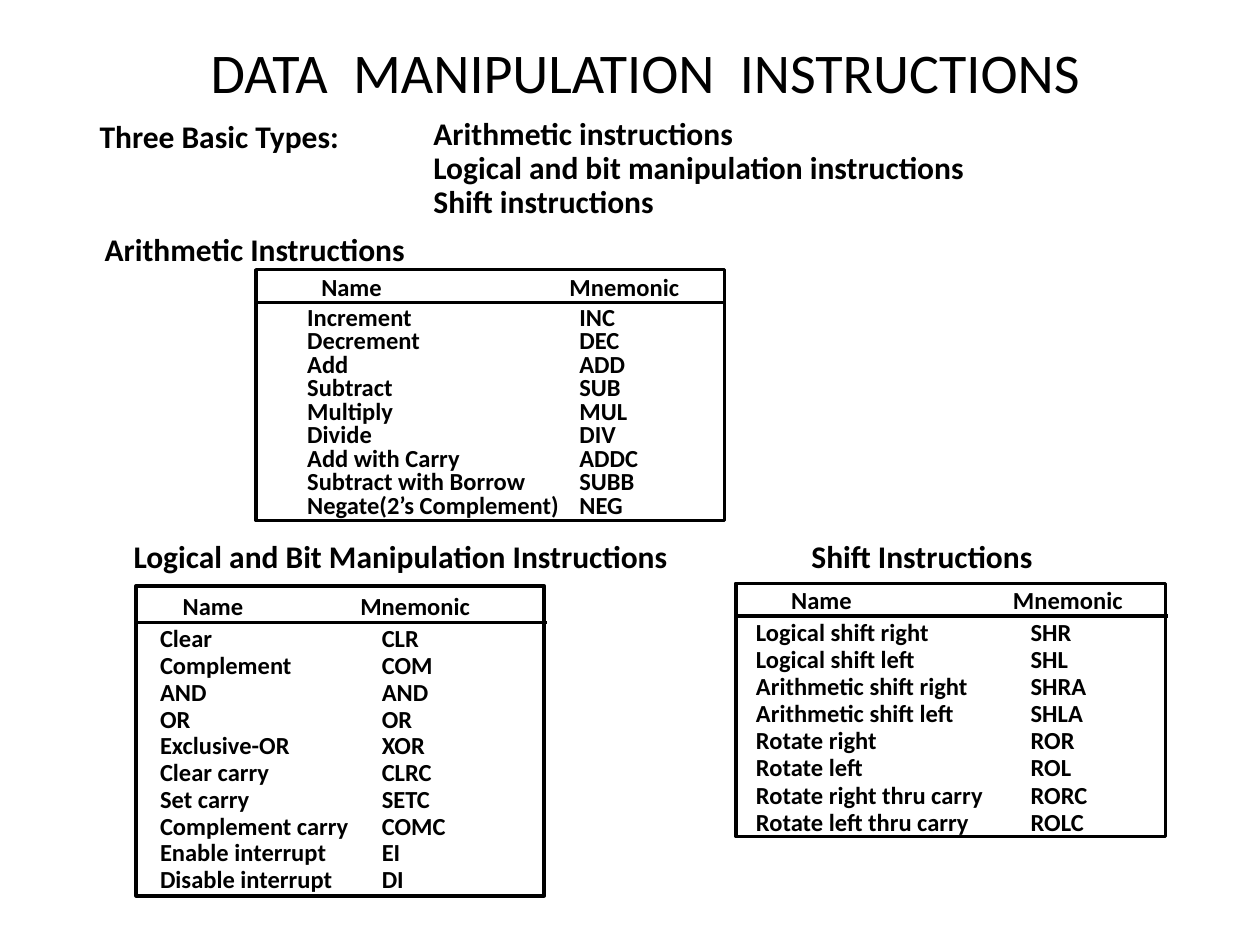
from lxml.etree import SubElement
from pptx import Presentation
from pptx.dml.color import RGBColor
from pptx.enum.shapes import MSO_CONNECTOR as Connector, MSO_SHAPE as Shape
from pptx.enum.text import MSO_ANCHOR as Anchor, PP_ALIGN as Align
from pptx.oxml.ns import qn
from pptx.util import Inches, Pt

BLACK = RGBColor(0, 0, 0)
FONT = "Calibri"
INSET = (0.07, 0.03)

# Content: text, place (left, top, width, height)
TITLE = "DATA  MANIPULATION  INSTRUCTIONS"
LABELS = [
    (["Three Basic Types:"], (0.72, 0.93, 2.15, 0.33)),
    (["Arithmetic instructions",
      "Logical and bit manipulation instructions",
      "Shift instructions"], (3.37, 0.91, 4.5, 0.87)),
    (["Arithmetic Instructions"], (0.76, 1.83, 2.65, 0.33)),
    (["Logical and Bit Manipulation Instructions"], (0.99, 4.27, 4.5, 0.33)),
    (["Shift Instructions"], (6.37, 4.27, 2.0, 0.33)),
]
HEADER = ("Name", "Mnemonic")

# Each list: frame, rule (left, right, y), header and body boxes with tab stops
LISTS = [
    dict(frame=(2.03, 2.14, 3.72, 1.99), rule=(2.04, 5.75, 2.4),
         header=(2.48, 2.17, 3.1, 0.24), header_tab=1.97, header_spacing=0.8,
         body=(2.34, 2.39, 3.1, 1.78), body_tab=2.16, body_spacing=0.8,
         body_inset=(0.1, 0.05),
         rows=[("Increment", "INC"), ("Decrement", "DEC"), ("Add", "ADD"),
               ("Subtract", "SUB"), ("Multiply", "MUL"), ("Divide", "DIV"),
               ("Add with Carry", "ADDC"), ("Subtract with Borrow", "SUBB"),
               ("Negate(2’s Complement)", "NEG")]),
    dict(frame=(1.08, 4.65, 3.24, 2.46), rule=(1.07, 4.34, 4.94),
         header=(1.38, 4.69, 2.6, 0.27), header_tab=1.41, header_spacing=0.9,
         body=(1.2, 4.94, 2.95, 2.18), body_tab=1.76, body_spacing=0.91,
         body_inset=INSET,
         rows=[("Clear", "CLR"), ("Complement", "COM"), ("AND", "AND"),
               ("OR", "OR"), ("Exclusive-OR", "XOR"), ("Clear carry", "CLRC"),
               ("Set carry", "SETC"), ("Complement carry", "COMC"),
               ("Enable interrupt", "EI"), ("Disable interrupt", "DI")]),
    dict(frame=(5.84, 4.63, 3.41, 2.01), rule=(5.85, 9.27, 4.89),
         header=(6.21, 4.64, 2.9, 0.27), header_tab=1.76, header_spacing=0.9,
         body=(5.93, 4.89, 3.24, 1.78), body_tab=2.18, body_spacing=0.92,
         body_inset=INSET,
         rows=[("Logical shift right", "SHR"), ("Logical shift left", "SHL"),
               ("Arithmetic shift right", "SHRA"),
               ("Arithmetic shift left", "SHLA"),
               ("Rotate right", "ROR"), ("Rotate left", "ROL"),
               ("Rotate right thru carry", "RORC"),
               ("Rotate left thru carry", "ROLC")]),
]


def add_text(page, lines, place, size, bold=True, spacing=0.9, tab=None,
             inset=INSET, align=Align.LEFT, anchor=Anchor.TOP):
    frame = page.shapes.add_textbox(*map(Inches, place)).text_frame
    across, down = map(Inches, inset)
    settings = dict(word_wrap=True, vertical_anchor=anchor,
                    margin_left=across, margin_right=across,
                    margin_top=down, margin_bottom=down)
    for name, value in settings.items():
        setattr(frame, name, value)
    for index, line in enumerate(lines):
        para = frame.paragraphs[0] if index == 0 else frame.add_paragraph()
        if tab is not None:
            stops = SubElement(para._p.get_or_add_pPr(), qn("a:tabLst"))
            SubElement(stops, qn("a:tab"), pos=str(Inches(tab)), algn="l")
        para.alignment, para.line_spacing = align, spacing
        span = para.add_run()
        span.text = line
        for name, value in dict(name=FONT, size=Pt(size), bold=bold).items():
            setattr(span.font, name, value)
        span.font.color.rgb = BLACK


def set_line(item):
    item.line.color.rgb = BLACK
    item.line.width = Pt(2)


def add_list(page, part):
    # Frame and the rule under the header
    box = page.shapes.add_shape(Shape.RECTANGLE, *map(Inches, part["frame"]))
    box.shadow.inherit = False
    box.fill.background()
    set_line(box)
    left, right, y = map(Inches, part["rule"])
    rule = page.shapes.add_connector(Connector.STRAIGHT, left, y, right, y)
    set_line(rule)
    SubElement(rule._element.spPr, qn("a:effectLst"))

    # Header and rows, with the mnemonics on a tab stop
    add_text(page, ["\t".join(HEADER)], part["header"], 14,
             spacing=part["header_spacing"], tab=part["header_tab"])
    add_text(page, ["\t".join(row) for row in part["rows"]], part["body"], 14,
             spacing=part["body_spacing"], tab=part["body_tab"],
             inset=part["body_inset"])


def main():
    deck = Presentation()
    deck.slide_width, deck.slide_height = Inches(10), Inches(7.5)
    page = deck.slides.add_slide(deck.slide_layouts[6])
    add_text(page, [TITLE], (0.49, 0.25, 9.27, 0.63), 32, bold=False,
             spacing=1.0, align=Align.CENTER, anchor=Anchor.MIDDLE)
    for lines, place in LABELS:
        add_text(page, lines, place, 18)
    for part in LISTS:
        add_list(page, part)
    deck.save("out.pptx")


if __name__ == "__main__":
    main()
